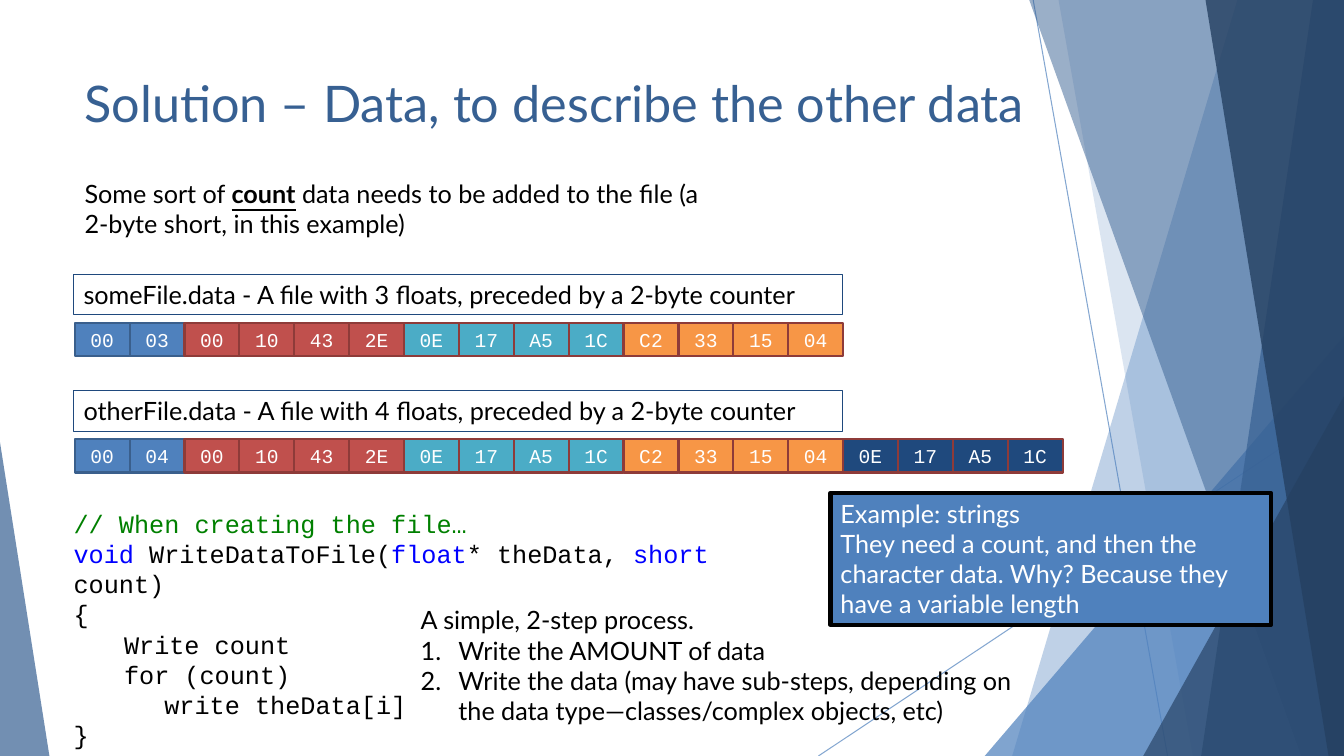
"""Builds a slide on storing a count ahead of variable-length data."""
from lxml.etree import SubElement
from pptx import Presentation
from pptx.dml.color import RGBColor
from pptx.enum.shapes import MSO_CONNECTOR, MSO_SHAPE
from pptx.enum.text import MSO_ANCHOR, PP_ALIGN
from pptx.oxml.ns import qn
from pptx.util import Pt

BLACK = RGBColor(0x00, 0x00, 0x00)
WHITE = RGBColor(0xFF, 0xFF, 0xFF)
BLUE = RGBColor(0x4F, 0x81, 0xBD)
EDGE = RGBColor(0x3A, 0x5F, 0x8C)
STEEL = RGBColor(0x37, 0x60, 0x92)
DARK = RGBColor(0x25, 0x40, 0x61)
NAVY = RGBColor(0x1F, 0x49, 0x7D)
RED = RGBColor(0xC0, 0x50, 0x4D)
MAROON = RGBColor(0x8E, 0x3B, 0x39)
TEAL = RGBColor(0x4B, 0xAC, 0xC6)
ORANGE = RGBColor(0xF7, 0x96, 0x46)
GREEN = RGBColor(0x00, 0x80, 0x00)
KEY = RGBColor(0x00, 0x00, 0xFF)
SANS, MONO = "Lato", "Courier New"

deck = Presentation()
deck.slide_width, deck.slide_height = Pt(960), Pt(540)
slide = deck.slides.add_slide(deck.slide_layouts[5])
shapes = slide.shapes


def put(par, text, ink=BLACK, face=SANS, size=18):
    """Fill a paragraph with text in one font."""
    if text:
        par.add_run().text = text
    par.font.name, par.font.size = face, Pt(size)
    par.font.color.rgb = ink


def box(x, y, wide, high, fill, line=None, thick=0.75):
    """Add a filled rectangle and return its text frame."""
    shape = shapes.add_shape(MSO_SHAPE.RECTANGLE, Pt(x), Pt(y), Pt(wide), Pt(high))
    shape.shadow.inherit = False
    shape.fill.solid()
    shape.fill.fore_color.rgb = fill
    if line is None:
        shape.line.fill.background()
    else:
        shape.line.color.rgb = line
        shape.line.width = Pt(thick)
    frame = shape.text_frame
    frame.word_wrap = True
    frame.vertical_anchor = MSO_ANCHOR.TOP
    frame.paragraphs[0].alignment = PP_ALIGN.LEFT
    return frame


decor = []
for x1, y1, x2, y2 in [(738, 0, 834, 540), (960, 290, 584.6, 540)]:
    wire = shapes.add_connector(MSO_CONNECTOR.STRAIGHT, Pt(x1), Pt(y1), Pt(x2), Pt(y2))
    wire.line.color.rgb = BLUE
    wire.line.width = Pt(0.75)
    SubElement(wire.element.spPr, qn("a:effectLst"))
    decor.append((wire, None, 70))

facets = [
    ("band", 884, 723, BLUE, 36),
    ("band", 756, 852, BLUE, 20),
    ("wedge", (703.4, 240, 256.6, 300), 1, BLUE, 72),
    ("band", 735, 929.5, STEEL, 50),
    ("band", 938, 858, STEEL, 70),
    ("band", 861, 949, DARK, 80),
    ("wedge", (816.6, 283, 143.4, 257), 1, DARK, 66),
    ("wedge", (0, 316, 35.3, 224), 0, STEEL, 70),
]
for kind, first, last, fill, alpha in facets:
    if kind == "band":
        pen = shapes.build_freeform(Pt(first), Pt(-0.6))
        pen.add_line_segments([(Pt(960), Pt(-0.6)), (Pt(960), Pt(540)), (Pt(last), Pt(540))])
        facet = pen.convert_to_shape()
    else:
        facet = shapes.add_shape(MSO_SHAPE.ISOSCELES_TRIANGLE, *map(Pt, first))
        facet.adjustments[0] = last
    facet.shadow.inherit = False
    facet.line.fill.background()
    decor.append((facet, fill, alpha))

for item, fill, alpha in decor:
    if fill is not None:
        item.fill.solid()
        item.fill.fore_color.rgb = fill
    tint = next(item.element.iter(qn("a:srgbClr")))
    SubElement(tint, qn("a:alpha")).set("val", str(alpha * 1000))

title = shapes.title
title.element.getparent().append(title.element)
title.left, title.top, title.width, title.height = Pt(53.3), Pt(48.2), Pt(710.6), Pt(62)
title.text_frame.vertical_anchor = MSO_ANCHOR.TOP
head = title.text_frame.paragraphs[0]
head.alignment = PP_ALIGN.LEFT
put(head, "Solution – Data, to describe the other data", STEEL, SANS, 36)

intro = box(53.3, 123.8, 464.4, 51, WHITE).paragraphs[0]
put(intro, "Some sort of ")
count = intro.add_run()
count.text = "count"
count.font.bold = count.font.underline = True
put(intro, " data needs to be added to the file (a 2-byte short, in this example)")

tones = [RED, TEAL, ORANGE, NAVY]
data = "00 10 43 2E 0E 17 A5 1C C2 33 15 04"
files = [
    (196, "someFile.data - A file with 3 floats, preceded by a 2-byte counter",
     "00 03 " + data),
    (279, "otherFile.data - A file with 4 floats, preceded by a 2-byte counter",
     "00 04 " + data + " 0E 17 A5 1C"),
]
for top, label, codes in files:
    put(box(52.6, top, 549.4, 29, WHITE, NAVY).paragraphs[0], label)
    for i, code in enumerate(codes.split()):
        fill, line = (BLUE, EDGE) if i < 2 else (tones[(i - 2) // 4], MAROON)
        cell = box(53.4 + 39.2 * i, top + 34.5, 39.2, 24, fill, line, 1.5)
        cell.vertical_anchor = MSO_ANCHOR.MIDDLE
        cell.paragraphs[0].alignment = PP_ALIGN.CENTER
        put(cell.paragraphs[0], code, WHITE, MONO, 14)

code = shapes.add_textbox(Pt(45.5), Pt(359.3), Pt(507.6), Pt(160)).text_frame
code.word_wrap = True
lines = [
    [("// When creating the file…", GREEN)],
    [("void ", KEY), ("WriteDataToFile(", BLACK), ("float", KEY),
     ("* theData, ", BLACK), ("short", KEY), (" count)", BLACK)],
    [("{", BLACK)],
    [("\tWrite count", BLACK)],
    [("\tfor (count)", BLACK)],
    [("      write theData[i]", BLACK)],
    [("}", BLACK)],
]
for i, parts in enumerate(lines):
    par = code.add_paragraph() if i else code.paragraphs[0]
    if parts[0][0].startswith("\t"):
        tabs = SubElement(par._p.get_or_add_pPr(), qn("a:tabLst"))
        SubElement(tabs, qn("a:tab"), pos=str(Pt(36)), algn="l")
    put(par, "", BLACK, MONO)
    for text, ink in parts:
        run = par.add_run()
        run.text = text
        run.font.color.rgb = ink

steps = shapes.add_textbox(Pt(293.4), Pt(428.4), Pt(464.4), Pt(94.3)).text_frame
steps.word_wrap = True
put(steps.paragraphs[0], "A simple, 2-step process.")
for text in [
    "Write the AMOUNT of data",
    "Write the data (may have sub-steps, depending on the data type—classes/complex objects, etc)",
]:
    par = steps.add_paragraph()
    props = par._p.get_or_add_pPr()
    props.set("marL", str(Pt(27)))
    props.set("indent", str(Pt(-27)))
    SubElement(props, qn("a:buFont"), typeface="+mj-lt")
    SubElement(props, qn("a:buAutoNum"), type="arabicPeriod")
    put(par, text)

note = box(593.3, 352.1, 314.6, 94.3, BLUE, BLACK, 3)
put(note.paragraphs[0], "Example: strings", WHITE)
more = note.add_paragraph()
more.alignment = PP_ALIGN.LEFT
put(more, "They need a count, and then the character data. "
    "Why? Because they have a variable length", WHITE)

deck.save("out.pptx")
